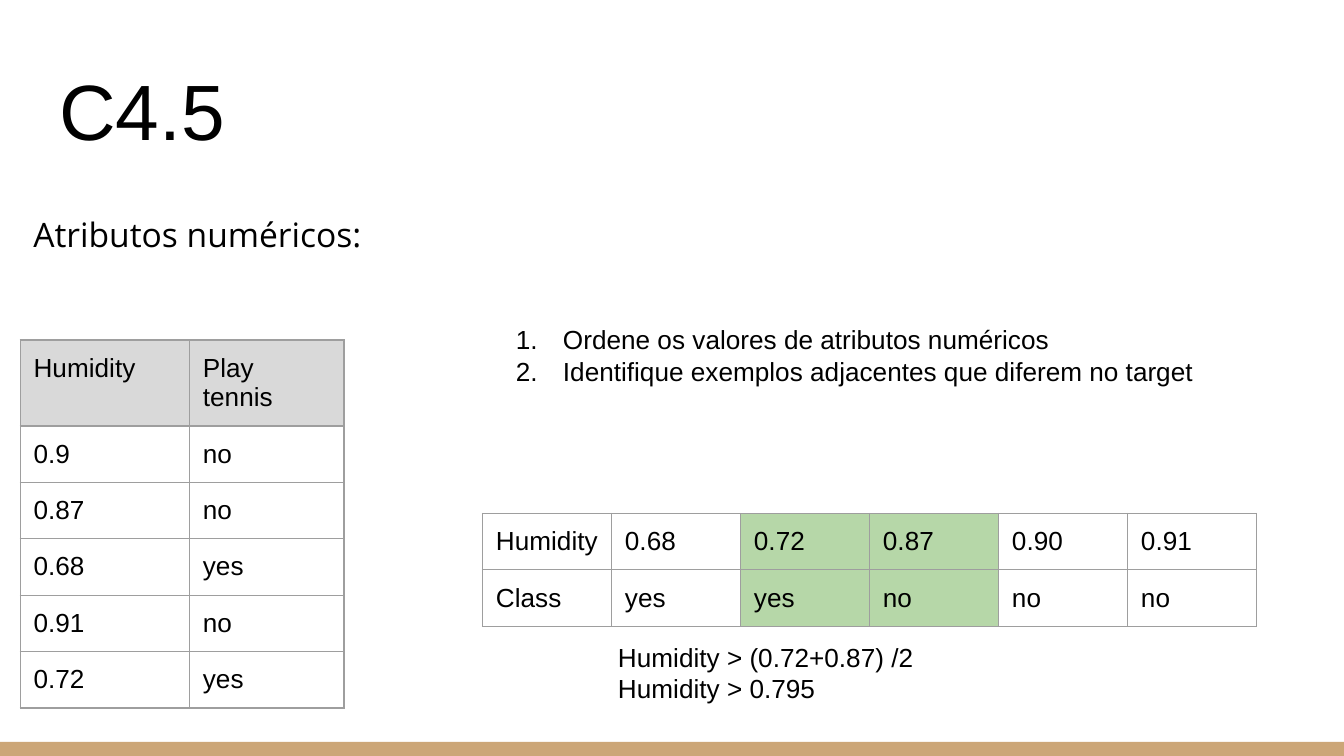
from dataclasses import dataclass

from lxml import etree
from pptx import Presentation
from pptx.dml.color import RGBColor
from pptx.enum.shapes import MSO_SHAPE
from pptx.enum.text import MSO_ANCHOR, MSO_AUTO_SIZE, PP_ALIGN
from pptx.oxml.ns import qn
from pptx.slide import Slide
from pptx.text.text import TextFrame, _Paragraph
from pptx.util import Inches, Pt

RECTANGLE = MSO_SHAPE.RECTANGLE
TOP, BOTTOM = MSO_ANCHOR.TOP, MSO_ANCHOR.BOTTOM
LEFT = PP_ALIGN.LEFT
NO_AUTOFIT = MSO_AUTO_SIZE.NONE
TITLE_ONLY = 5


@dataclass(frozen=True)
class Theme:
    font: str = "Arial"
    heading_font: str = "Open Sans"
    title_size: float = 42
    heading_size: float = 18
    text_size: float = 14
    ink: str = "000000"
    paper: str = "FFFFFF"
    header: str = "D9D9D9"
    highlight: str = "B6D7A8"
    grid: str = "9E9E9E"
    footer: str = "CCA677"
    grid_width: float = 0.75
    inset: float = 0.1


THEME = Theme()


@dataclass(frozen=True)
class Area:
    left: float
    top: float
    width: float
    height: float

    def lengths(self) -> list:
        return [Inches(n) for n in (self.left, self.top, self.width, self.height)]


@dataclass(frozen=True)
class TextBlock:
    area: Area
    lines: tuple
    font: str = THEME.font
    size: float = THEME.text_size
    numbered: bool = False
    line_spacing: float = 1.0
    space_after: float = 0


@dataclass(frozen=True)
class Grid:
    left: float
    top: float
    columns: tuple
    rows: tuple
    values: tuple
    fills: dict  # (row, column) -> colour; other cells have no fill


def add_span(para: _Paragraph, text: str, font: str, size: float) -> None:
    span = para.add_run()
    span.text = text
    span.font.name = font
    span.font.size = Pt(size)
    span.font.color.rgb = RGBColor.from_string(THEME.ink)


def prepare_frame(frame: TextFrame, anchor: MSO_ANCHOR) -> None:
    frame.word_wrap = True
    frame.auto_size = NO_AUTOFIT
    frame.vertical_anchor = anchor
    frame.margin_left = frame.margin_right = Inches(THEME.inset)
    frame.margin_top = frame.margin_bottom = Inches(THEME.inset)


def number_paragraph(para: _Paragraph) -> None:
    properties = para._p.get_or_add_pPr()
    properties.set("marL", str(Inches(0.5)))
    properties.set("indent", str(Inches(-0.35)))
    colour = etree.SubElement(properties, qn("a:buClr"))
    etree.SubElement(colour, qn("a:srgbClr"), val=THEME.ink)
    etree.SubElement(properties, qn("a:buFont"), typeface=THEME.font)
    etree.SubElement(properties, qn("a:buAutoNum"), type="arabicPeriod")


def add_text(page: Slide, block: TextBlock) -> None:
    frame = page.shapes.add_textbox(*block.area.lengths()).text_frame
    prepare_frame(frame, TOP)
    for index, line in enumerate(block.lines):
        para = frame.add_paragraph() if index else frame.paragraphs[0]
        para.line_spacing = block.line_spacing
        para.space_after = Pt(block.space_after)
        if block.numbered:
            number_paragraph(para)
        add_span(para, line, block.font, block.size)


def outline_cell(cell) -> None:
    """Draw all four borders; they must precede the fill in the cell XML."""
    properties = cell._tc.get_or_add_tcPr()
    for index, side in enumerate(("lnL", "lnR", "lnT", "lnB")):
        line = etree.Element(qn(f"a:{side}"), w=str(Pt(THEME.grid_width)))
        fill = etree.SubElement(line, qn("a:solidFill"))
        etree.SubElement(fill, qn("a:srgbClr"), val=THEME.grid)
        properties.insert(index, line)


def add_grid(page: Slide, grid: Grid) -> None:
    area = Area(grid.left, grid.top, sum(grid.columns), sum(grid.rows))
    table = page.shapes.add_table(
        len(grid.rows), len(grid.columns), *area.lengths()).table
    table.first_row = table.horz_banding = False
    for column, width in zip(table.columns, grid.columns):
        column.width = Inches(width)
    for row, height in zip(table.rows, grid.rows):
        row.height = Inches(height)
    for r, values in enumerate(grid.values):
        for c, value in enumerate(values):
            cell = table.cell(r, c)
            cell.margin_left = cell.margin_right = Inches(THEME.inset)
            cell.margin_top = cell.margin_bottom = Inches(THEME.inset)
            if (r, c) in grid.fills:
                cell.fill.solid()
                cell.fill.fore_color.rgb = RGBColor.from_string(grid.fills[r, c])
            else:
                cell.fill.background()
            outline_cell(cell)
            add_span(cell.text_frame.paragraphs[0], value, THEME.font, THEME.text_size)


def add_footer_bar(page: Slide, area: Area) -> None:
    bar = page.shapes.add_shape(RECTANGLE, *area.lengths())
    bar.shadow.inherit = False
    bar.fill.solid()
    bar.fill.fore_color.rgb = RGBColor.from_string(THEME.footer)
    bar.line.fill.background()


def set_title(page: Slide, text: str, area: Area) -> None:
    title = page.shapes.title
    title.left, title.top, title.width, title.height = area.lengths()
    prepare_frame(title.text_frame, BOTTOM)
    para = title.text_frame.paragraphs[0]
    para.alignment = LEFT
    add_span(para, text, THEME.font, THEME.title_size)


EXAMPLES = Grid(
    0.15, 2.53, (1.26, 1.15), (0.64,) + (0.42,) * 5,
    (("Humidity", "Play tennis"), ("0.9", "no"), ("0.87", "no"),
     ("0.68", "yes"), ("0.91", "no"), ("0.72", "yes")),
    {(0, c): THEME.header for c in range(2)},
)
SORTED_EXAMPLES = Grid(
    3.59, 3.82, (0.96,) * 6, (0.42,) * 2,
    (("Humidity", "0.68", "0.72", "0.87", "0.90", "0.91"),
     ("Class", "yes", "yes", "no", "no", "no")),
    {(r, c): THEME.highlight for r in range(2) for c in (2, 3)},
)
STEPS = TextBlock(
    Area(3.59, 2.31, 5.55, 0.67),
    ("Ordene os valores de atributos numéricos",
     "Identifique exemplos adjacentes que diferem no target"),
    numbered=True,
)
THRESHOLD = TextBlock(
    Area(4.5, 4.67, 3.5, 0.48), ("Humidity > (0.72+0.87) /2", "Humidity > 0.795"))
HEADING = TextBlock(
    Area(0.15, 1.45, 9.32, 3.67), ("Atributos numéricos:",),
    font=THEME.heading_font, size=THEME.heading_size,
    line_spacing=1.15, space_after=16,
)


def main() -> None:
    deck = Presentation()
    deck.slide_width = Inches(10)
    deck.slide_height = deck.slide_width * 9 // 16
    page = deck.slides.add_slide(deck.slide_layouts[TITLE_ONLY])
    page.background.fill.solid()
    page.background.fill.fore_color.rgb = RGBColor.from_string(THEME.paper)
    add_footer_bar(page, Area(0, 5.52, 10, 0.11))
    set_title(page, "C4.5", Area(0.34, 0.35, 9.32, 0.91))
    add_grid(page, EXAMPLES)
    add_text(page, STEPS)
    add_grid(page, SORTED_EXAMPLES)
    add_text(page, THRESHOLD)
    add_text(page, HEADING)
    deck.save("out.pptx")


if __name__ == "__main__":
    main()
